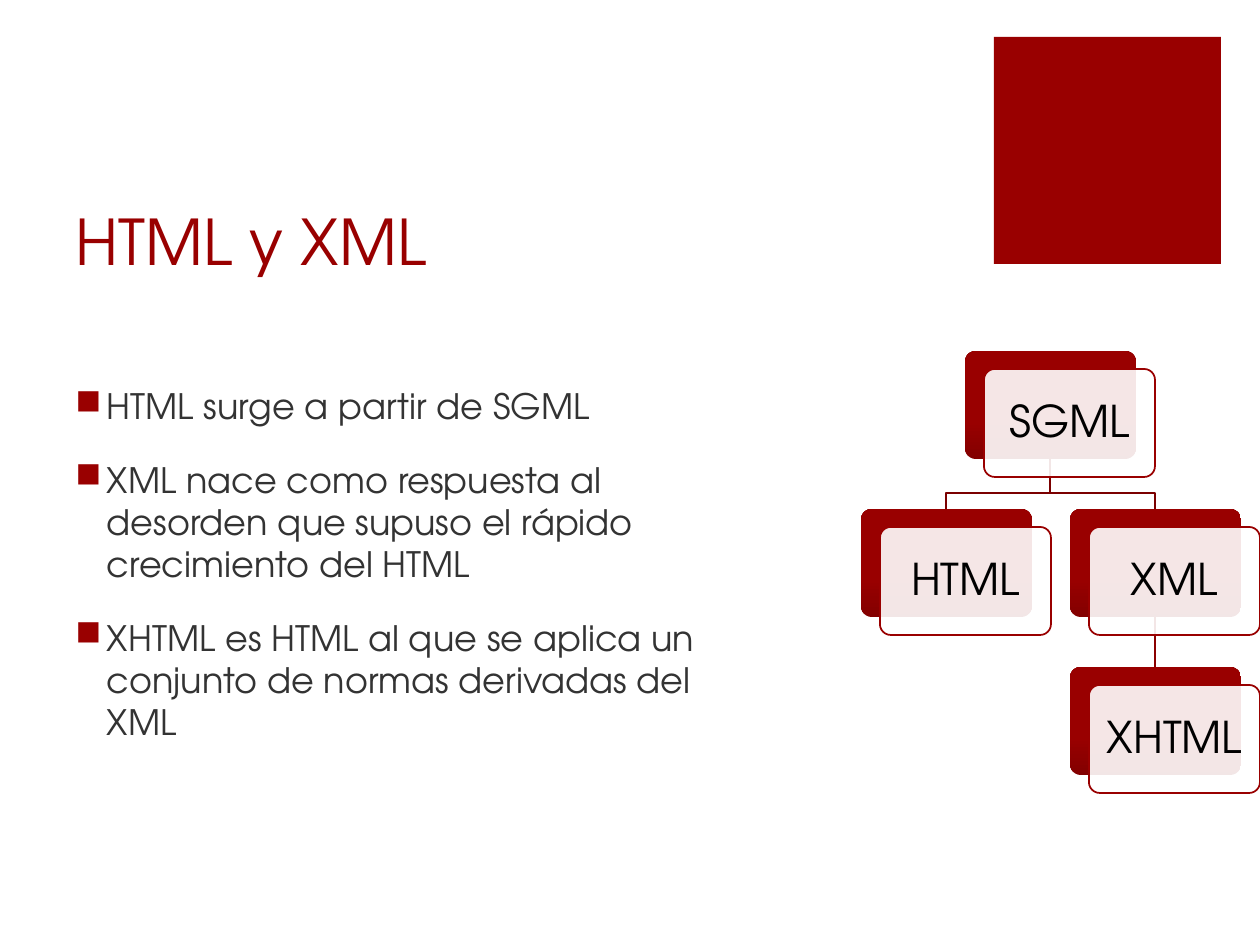
from lxml import etree
from pptx import Presentation, util as u
from pptx.dml.color import RGBColor
from pptx.enum import shapes, text
from pptx.oxml import ns

PX = 914400 // 126
FONT = "TeX Gyre Adventor"
RED, DARK_RED, LINE_RED, BODY_GREY = "990000", "830000", "7B0000", "333333"
CARD_W, CARD_H, SHIFT_X, SHIFT_Y = 171, 108, 19, 18


def rgb(value):
    """Return a colour from a hex string."""
    return RGBColor.from_string(value)


def add_xml(parent, tag, **attributes):
    """Append an element to parent."""
    return etree.SubElement(parent, ns.qn(tag), attributes)


class SlideWriter:
    """Draws elements on one slide, in pixels."""

    def __init__(self, slide):
        """Keep the slide to draw on."""
        self.shapes = slide.shapes

    def block(self, kind, x, y, w, h, fill=None, line=None):
        """Add a preset shape without shadow."""
        shape = self.shapes.add_shape(kind, x * PX, y * PX, w * PX, h * PX)
        shape.shadow.inherit = False
        if fill:
            shape.fill.solid()
            shape.fill.fore_color.rgb = rgb(fill)
        self.outline(shape.line, line)
        return shape

    def outline(self, line, color):
        """Set a thin outline, or none."""
        if color:
            line.color.rgb = rgb(color)
            line.width = u.Pt(1)
        else:
            line.fill.background()

    def style(self, paragraph, size, color):
        """Set the font of a paragraph."""
        font = paragraph.font
        font.name, font.size, font.color.rgb = FONT, u.Pt(size), rgb(color)

    def textbox(self, x, y, w, h):
        """Add a wrapping text box and return its frame."""
        frame = self.shapes.add_textbox(x * PX, y * PX, w * PX, h * PX).text_frame
        frame.word_wrap = True
        return frame

    def title(self, words, x, y, w, h):
        """Add the bottom-anchored title."""
        frame = self.textbox(x, y, w, h)
        frame.vertical_anchor = text.MSO_ANCHOR.BOTTOM
        frame.text = words
        self.style(frame.paragraphs[0], 36, RED)

    def bullets(self, items, x, y, w, h, margin_top):
        """Add a list with square bullets."""
        frame = self.textbox(x, y, w, h)
        frame.margin_top = margin_top * PX
        frame.text = "\n".join(items)
        for number, paragraph in enumerate(frame.paragraphs):
            if number:
                paragraph.space_before = u.Pt(18)
            props = paragraph._p.get_or_add_pPr()
            props.set("marL", "228600")
            props.set("indent", "-228600")
            add_xml(add_xml(props, "a:buClr"), "a:srgbClr", val=RED)
            add_xml(props, "a:buChar", char="■")
            self.style(paragraph, 20, BODY_GREY)

    def card(self, label, x, y):
        """Add a red card with a translucent labelled card over it."""
        rounded = shapes.MSO_SHAPE.ROUNDED_RECTANGLE
        back = self.block(rounded, x, y, CARD_W, CARD_H)
        back.fill.gradient()
        back.fill.gradient_angle = 90
        for stop, position, color in zip(back.fill.gradient_stops, (0, 0.35), (DARK_RED, RED)):
            stop.position, stop.color.rgb = position, rgb(color)
        front = self.block(rounded, x + SHIFT_X, y + SHIFT_Y, CARD_W, CARD_H, "FFFFFF", RED)
        add_xml(front.fill._xPr.find(".//" + ns.qn("a:srgbClr")), "a:alpha", val="90000")
        back.adjustments[0] = front.adjustments[0] = 0.1
        frame = front.text_frame
        frame.margin_left = frame.margin_right = 12 * PX
        frame.vertical_anchor = text.MSO_ANCHOR.MIDDLE
        frame.text = label
        paragraph = frame.paragraphs[0]
        paragraph.alignment = text.PP_ALIGN.CENTER
        paragraph.line_spacing = 0.9
        self.style(paragraph, 25, "000000")

    def straight(self, x1, y1, x2, y2, color):
        """Add a straight connector."""
        link = self.shapes.add_connector(
            shapes.MSO_CONNECTOR.STRAIGHT, x1 * PX, y1 * PX, x2 * PX, y2 * PX)
        self.outline(link.line, color)
        add_xml(link._element.spPr, "a:effectLst")

    def polyline(self, points, color):
        """Add an open line through points."""
        builder = self.shapes.build_freeform(*points[0], scale=PX)
        builder.add_line_segments(points[1:], close=False)
        shape = builder.convert_to_shape()
        shape.shadow.inherit = False
        shape.fill.background()
        self.outline(shape.line, color)


deck = Presentation()
deck.slide_width, deck.slide_height = u.Inches(10), u.Inches(7.5)
writer = SlideWriter(deck.slides.add_slide(deck.slide_layouts[6]))

writer.block(shapes.MSO_SHAPE.RECTANGLE, 994, 37, 227, 227, RED)
writer.title("HTML y XML", 63, 126, 897, 158)

tree = {"SGML": (965, 351), "HTML": (861, 509), "XML": (1070, 509), "XHTML": (1070, 667)}
middle = {label: x + CARD_W // 2 for label, (x, y) in tree.items()}
bottom = {label: y + CARD_H for label, (x, y) in tree.items()}

writer.straight(middle["XML"], bottom["XML"], middle["XHTML"], tree["XHTML"][1], "8B0000")
for child in ("XML", "HTML"):
    writer.polyline([(middle["SGML"], bottom["SGML"]), (middle["SGML"], 493),
                     (middle[child], 493), (middle[child], tree[child][1])], LINE_RED)
for label, (x, y) in tree.items():
    writer.card(label, x, y)

writer.bullets([
    "HTML surge a partir de SGML",
    "XML nace como respuesta al desorden que supuso el rápido crecimiento del HTML",
    "XHTML es HTML al que se aplica un conjunto de normas derivadas del XML",
], 63, 305, 703, 557, margin_top=80)

deck.save("out.pptx")
